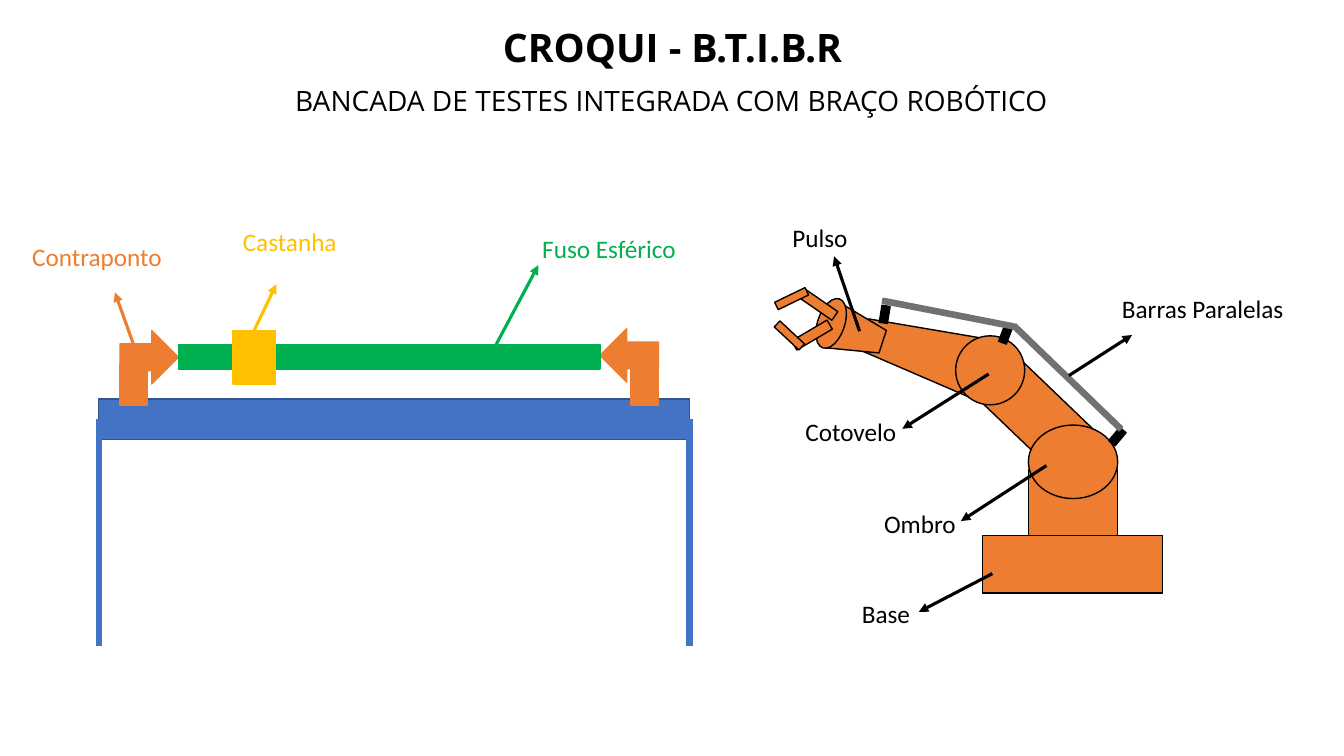
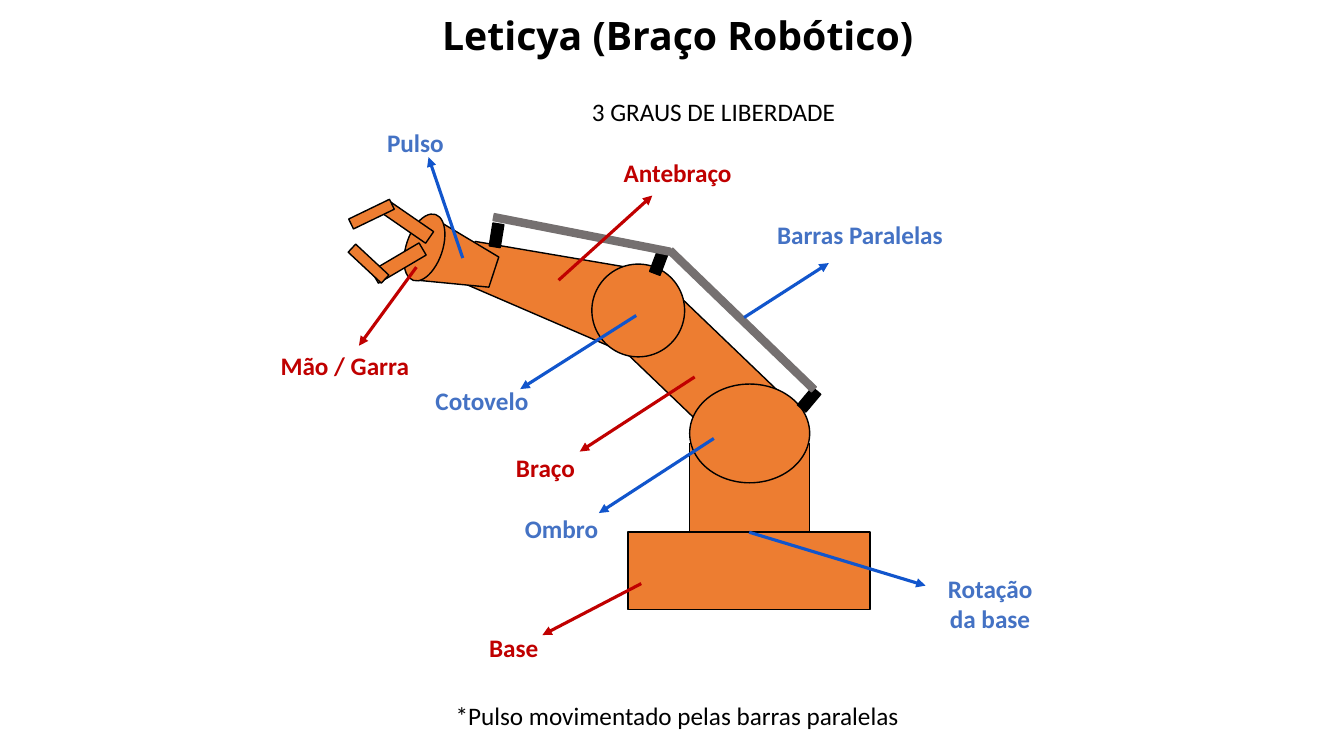
import dataclasses

import lxml.etree
import pptx
import pptx.dml.color
import pptx.enum.shapes
import pptx.enum.text
import pptx.oxml.ns
import pptx.util

KIND = pptx.enum.shapes.MSO_SHAPE
ALIGN = pptx.enum.text.PP_ALIGN


@dataclasses.dataclass(frozen=True)
class Theme:
    black: str = "000000"
    blue: str = "4472C4"
    navy: str = "31538F"
    azure: str = "1155CC"
    red: str = "C00000"
    orange: str = "ED7D31"
    green: str = "00B050"
    gold: str = "FFC000"
    gray: str = "757070"
    head: str = "Open Sans"
    body: str = "Calibri"
    big: int = 28
    mid: int = 20
    base: int = 18
    edge: float = 1
    arrow: float = 2.25
    leg: float = 4.5


T = Theme()
WIDE, HIGH = 13.33, 7.5


def tint(code):
    return pptx.dml.color.RGBColor.from_string(code)


class Grid:
    """Square units laid over a region: its width is split into cols."""

    def __init__(self, slide, left, top, width, cols):
        self.slide, self.left, self.top = slide, left, top
        self.unit = width / cols

    def size(self, n):
        return pptx.util.Inches(n * self.unit)

    def spot(self, x, y):
        return (pptx.util.Inches(self.left + x * self.unit),
                pptx.util.Inches(self.top + y * self.unit))

    def box(self, x, y, w, h):
        return (*self.spot(x, y), self.size(w), self.size(h))

    def solid(self, kind, x, y, w, h, turn=0, fill=T.orange, edge=None):
        shape = self.slide.shapes.add_shape(kind, *self.box(x, y, w, h))
        shape.rotation = turn
        shape.shadow.inherit = False
        shape.fill.solid()
        shape.fill.fore_color.rgb = tint(fill)
        shape.line.color.rgb = tint(edge or fill)
        shape.line.width = pptx.util.Pt(T.edge)
        return shape

    def link(self, x1, y1, x2, y2, color, width=T.arrow, head=True, join=None):
        line = self.slide.shapes.add_connector(
            pptx.enum.shapes.MSO_CONNECTOR.STRAIGHT,
            *self.spot(x1, y1), *self.spot(x2, y2))
        if join:
            line.begin_connect(*join)
        line.line.color.rgb = tint(color)
        line.line.width = pptx.util.Pt(width)
        name = pptx.oxml.ns.qn
        props = line._element.spPr
        if head:
            lxml.etree.SubElement(props.find(name("a:ln")),
                                  name("a:tailEnd"), type="triangle")
        lxml.etree.SubElement(props, name("a:effectLst"))

    def text(self, words, x, y, w, h=40, **style):
        write(self.slide.shapes.add_textbox(*self.box(x, y, w, h)), words, **style)

    def fit(self, holder, words, x, y, w, h, **style):
        holder.left, holder.top, holder.width, holder.height = self.box(x, y, w, h)
        write(holder, words, **style)


def write(shape, words, size=T.base, font=T.body, color=T.black, bold=False,
          align=ALIGN.LEFT):
    frame = shape.text_frame
    frame.word_wrap = True
    frame.auto_size = pptx.enum.text.MSO_AUTO_SIZE.NONE
    frame.vertical_anchor = pptx.enum.text.MSO_ANCHOR.TOP
    para = frame.paragraphs[0]
    para.alignment = align
    para.space_before = pptx.util.Pt(0)
    run = para.add_run()
    run.text = words
    run.font.size = pptx.util.Pt(size)
    run.font.name = font
    run.font.bold = bold
    run.font.color.rgb = tint(color)


# Arm pieces on a grid of 520 columns: kind, x, y, w, h, turn
ARM_COLS = 520
BASE = (KIND.RECTANGLE, 283, 328, 240, 77)
LIMBS = [
    (KIND.RECTANGLE, 344, 240, 119, 88),
    (KIND.ROUNDED_RECTANGLE, 259, 133, 200, 77, 43.8),
    (KIND.TRAPEZOID, 168, -4, 86, 179, 286.5),
    (KIND.OVAL, 247, 62, 92, 92),
    (KIND.OVAL, 344, 181, 119, 98),
    (KIND.TRAPEZOID, 85, 24, 63, 70, 108.2),
    (KIND.OVAL, 63, 11, 36, 69, 18.7),
    (KIND.RECTANGLE, 36, 13, 55, 14, 34.6),
    (KIND.RECTANGLE, 6, 7, 45, 11, 334.2),
    (KIND.RECTANGLE, 28, 54, 55, 14, 329.5),
    (KIND.RECTANGLE, 3, 56, 45, 11, 223),
]
PINS = [(147, 22, 9.1), (308, 49, 20.7), (457, 185, 40)]
RODS = [(148, 29, 178, 11.1), (297, 114, 198, 44)]

# Arrow from each joint or link of the arm to its label
ARROWS = {
    "Base": (296, 379, 198, 430),
    "Ombro": (368, 235, 254, 309),
    "Cotovelo": (291, 113, 176, 186),
    "Pulso": (119, 56, 85, -44),
    "Barras Paralelas": (398, 115, 482, 61),
    "Braço": (349, 174, 235, 248),
    "Antebraço": (214, 78, 307, -6),
    "Mão / Garra": (73, 65, 16, 143),
    "Rotação da base": (403, 328, 578, 381),
}


def draw_arm(slide, left, top, width):
    grid = Grid(slide, left, top, width, ARM_COLS)
    base = grid.solid(*BASE, edge=T.black)
    for limb in LIMBS:
        grid.solid(*limb, edge=T.black)
    for x, y, turn in PINS:
        grid.solid(KIND.RECTANGLE, x, y, 11, 23, turn, T.black)
    for x, y, w, turn in RODS:
        grid.solid(KIND.RECTANGLE, x, y, w, 7, turn, T.gray)
    return grid, base


def label_arm(page, arm, base, tags, ink, **style):
    """Place each tag on the page; ink gives its arrow and text colours."""
    for words, x, y, w, *rest in tags:
        shaft, color = ink(words)
        join = (base, 0) if words == "Rotação da base" else None
        arm.link(*ARROWS[words], shaft, join=join)
        page.text(words, x, y, w, *rest, color=color, **style)


def draw_bench(slide, left, top, width):
    grid = Grid(slide, left, top, width, 680)
    # Table top and legs
    table = grid.solid(KIND.RECTANGLE, 78, 176, 586, 40, fill=T.blue, edge=T.navy)
    for x, side in ((78, 1), (664, 3)):
        grid.link(x, 196, x, 421, T.blue, T.leg, head=False, join=(table, side))
    # Tailstocks
    for x in (99, 606):
        grid.solid(KIND.RECTANGLE, x, 142, 27, 40)
    grid.solid(KIND.RIGHT_ARROW, 99, 108, 58, 53)
    grid.solid(KIND.RIGHT_ARROW, 575, 106, 58, 53, 180)
    # Ball screw and nut
    grid.solid(KIND.RECTANGLE, 157, 122, 418, 24, fill=T.green)
    nut = grid.solid(KIND.RECTANGLE, 211, 108, 42, 53, fill=T.gold)
    # Labels
    for words, color, arrow, spot, join in (
            ("Fuso Esférico", T.green, (472, 122, 514, 43), (508, 7, 210), None),
            ("Castanha", T.gold, (232, 108, 254, 62), (211, 0, 156), (nut, 0)),
            ("Contraponto", T.orange, (115, 129, 94, 70), (2, 14, 205), None)):
        grid.link(*arrow, color, join=join)
        grid.text(words, *spot, color=color)


def add_page(deck, title, spot, sub, place, **style):
    """New slide with its title and subtitle; lengths in hundredths of an inch."""
    slide = deck.slides.add_slide(deck.slide_layouts[0])
    page = Grid(slide, 0, 0, WIDE, WIDE * 100)
    page.fit(slide.shapes.title, title, *spot, size=T.big, font=T.head,
             bold=True, align=ALIGN.CENTER)
    page.fit(slide.placeholders[1], sub, *place, **style)
    return slide, page


def show_sketch(deck):
    slide, page = add_page(
        deck, "CROQUI - B.T.I.B.R", (126, 18, 1082, 57),
        "BANCADA DE TESTES INTEGRADA COM BRAÇO ROBÓTICO", (246, 78, 840, 44),
        size=T.mid, font=T.head, align=ALIGN.CENTER)
    draw_bench(slide, 0.2, 2.2, 6.8)
    arm, base = draw_arm(slide, 7.64, 2.87, 3.87)
    tags = [("Base", 845, 589, 80), ("Ombro", 867, 499, 100),
            ("Cotovelo", 789, 408, 120), ("Pulso", 776, 216, 85),
            ("Barras Paralelas", 1103, 286, 200)]
    label_arm(page, arm, base, tags, lambda words: (T.black, T.black))


def show_arm(deck):
    slide, page = add_page(
        deck, "Leticya (Braço Robótico)", (342, 6, 660, 57),
        "3 GRAUS DE LIBERDADE", (577, 91, 353, 40))
    arm, base = draw_arm(slide, 3.4, 2, 5.2)
    links = {"Base", "Braço", "Antebraço", "Mão / Garra"}
    tags = [("Base", 472, 622, 75), ("Ombro", 505, 504, 104),
            ("Cotovelo", 413, 377, 130), ("Pulso", 370, 121, 84),
            ("Barras Paralelas", 753, 213, 200), ("Braço", 495, 444, 92),
            ("Antebraço", 606, 151, 132), ("Mão / Garra", 262, 343, 160),
            ("Rotação da base", 930, 564, 104, 71)]
    label_arm(page, arm, base, tags,
              lambda words: (T.red, T.red) if words in links else (T.azure, T.blue),
              bold=True, align=ALIGN.CENTER)
    page.text("*Pulso movimentado pelas barras paralelas", 442, 690, 629)


def main():
    deck = pptx.Presentation()
    deck.slide_width = pptx.util.Inches(WIDE)
    deck.slide_height = pptx.util.Inches(HIGH)
    show_sketch(deck)
    show_arm(deck)
    deck.save("out.pptx")


if __name__ == "__main__":
    main()
